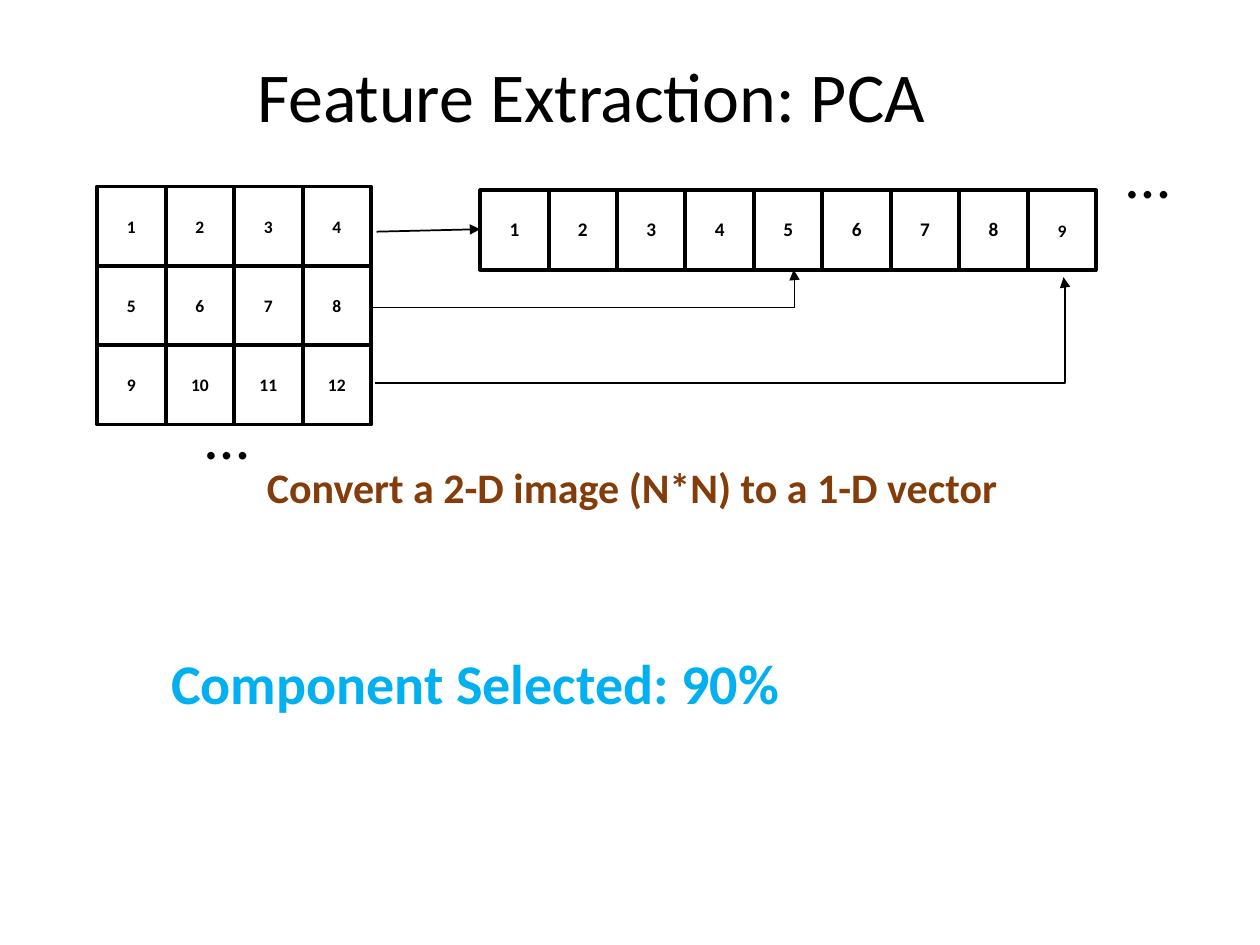
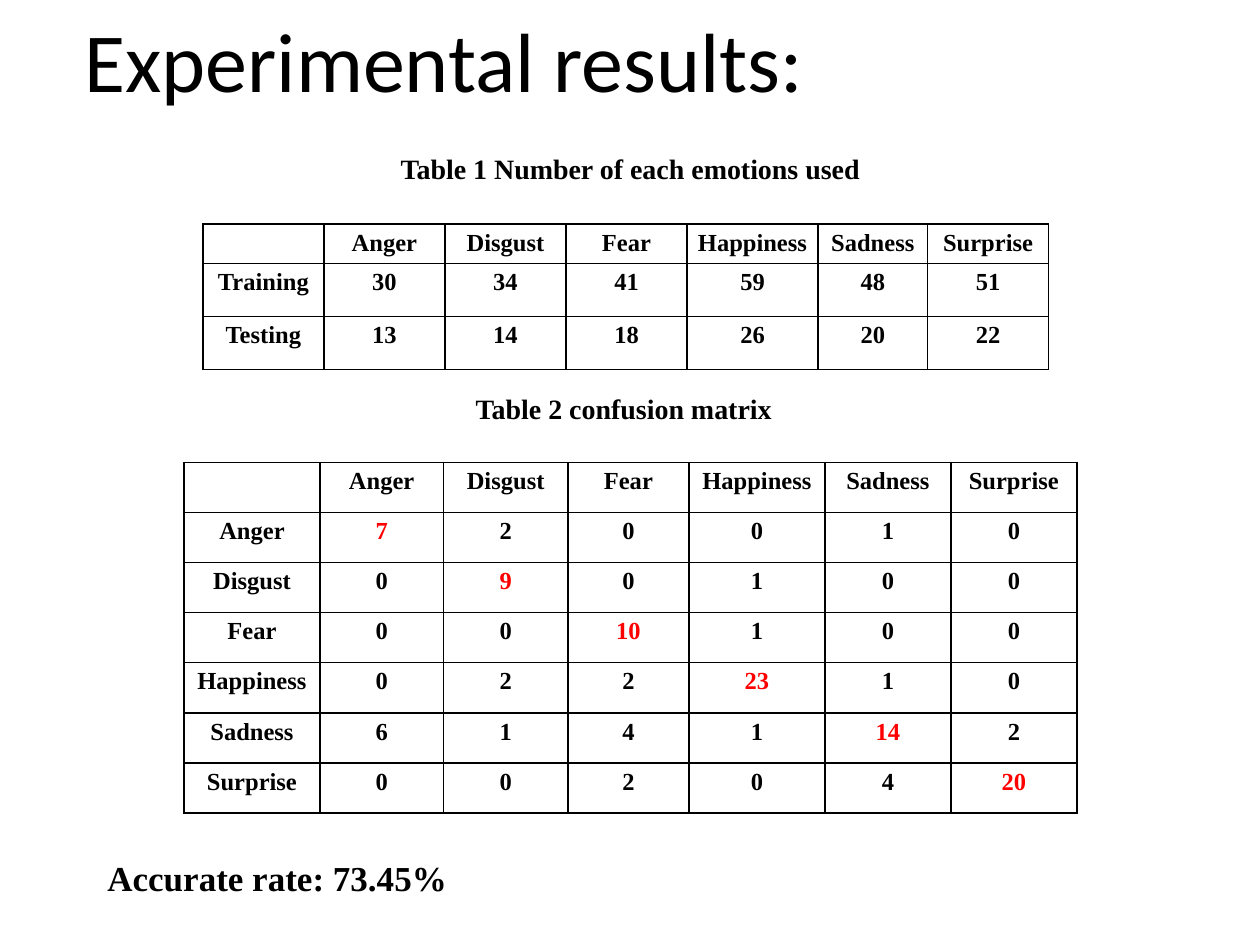
import pptx
import pptx.util
import pptx.dml.color
import pptx.enum.shapes
import pptx.enum.text
import pptx.oxml.ns
import lxml.etree

Cm, Pt = pptx.util.Cm, pptx.util.Pt
qn = pptx.oxml.ns.qn
ALIGN = pptx.enum.text.PP_ALIGN
ANCHOR = pptx.enum.text.MSO_ANCHOR
FIT = pptx.enum.text.MSO_AUTO_SIZE
LINK = pptx.enum.shapes.MSO_CONNECTOR
SANS, SERIF = "Calibri", "Times New Roman"
BLACK, RED, BROWN, BLUE = "000000", "FF0000", "843C0B", "00B0F0"
MOODS = ["Anger", "Disgust", "Fear", "Happiness", "Sadness", "Surprise"]


def tint(code):
    return pptx.dml.color.RGBColor.from_string(code)


def put(thing, vals):
    for name, val in vals.items():
        setattr(thing, name, val)


class Deck:
    """Hold the shared style and the current slide, and draw each kind of element."""

    def __init__(self):
        self.file = pptx.Presentation()
        put(self.file, {"slide_width": Cm(25.4), "slide_height": Cm(19.05)})
        self.slide = None

    def words(self, frame, text, size, face=SANS, color=BLACK, bold=False, align=ALIGN.LEFT, gap=None):
        par = frame.paragraphs[0]
        put(par, {"alignment": align, "line_spacing": gap})
        run = par.add_run()
        run.text = text
        put(run.font, {"size": Pt(size), "name": face, "bold": bold})
        run.font.color.rgb = tint(color)

    def start(self, text, box, size, frame, gap=None):
        self.slide = self.file.slides.add_slide(self.file.slide_layouts[5])
        title = self.slide.shapes.title
        put(title, dict(zip(("left", "top", "width", "height"), map(Cm, box))))
        put(title.text_frame, {"auto_size": FIT.NONE, **frame})
        self.words(title.text_frame, text, size, gap=gap)

    def label(self, text, box, size, anchor=ANCHOR.TOP, wrap=False, **style):
        frame = self.slide.shapes.add_textbox(*map(Cm, box)).text_frame
        fit = FIT.NONE if wrap else FIT.SHAPE_TO_FIT_TEXT
        put(frame, {"word_wrap": wrap, "auto_size": fit, "vertical_anchor": anchor})
        self.words(frame, text, size, **style)

    def dots(self, left, top):
        self.label("…", (left, top, 1.96, 3.45), 36, wrap=True, align=ALIGN.CENTER, gap=1.2)

    def cells(self, left, top, cols, sizes, wide=1.38, high=1.6):
        kind = pptx.enum.shapes.MSO_SHAPE.RECTANGLE
        for i, size in enumerate(sizes):
            row, col = divmod(i, cols)
            box = (left + col * wide, top + row * high, wide, high)
            cell = self.slide.shapes.add_shape(kind, *map(Cm, box))
            cell.shadow.inherit = False
            cell.fill.background()
            cell.line.color.rgb = tint(BLACK)
            cell.line.width = Pt(2.25)
            cell.text_frame.vertical_anchor = ANCHOR.MIDDLE
            self.words(cell.text_frame, str(i + 1), size, bold=True, align=ALIGN.CENTER, gap=Pt(12))

    def arrow(self, kind, *ends):
        link = self.slide.shapes.add_connector(kind, *map(Cm, ends))
        link.line.color.rgb = tint(BLACK)
        link.line.width = Pt(1)
        props = link._element.spPr
        lxml.etree.SubElement(props.find(qn("a:ln")), qn("a:tailEnd"), type="triangle")
        lxml.etree.SubElement(props, qn("a:effectLst"))
        if kind == LINK.ELBOW:
            geom = props.find(qn("a:prstGeom"))
            for old in geom.findall(qn("a:avLst")):
                geom.remove(old)
            adjust = lxml.etree.SubElement(geom, qn("a:avLst"))
            lxml.etree.SubElement(adjust, qn("a:gd"), name="adj1", fmla="val 100200")

    def edge(self, cell):
        props = cell._tc.get_or_add_tcPr()
        for side in "LRTB":
            line = lxml.etree.SubElement(props, qn("a:ln" + side), w=str(Pt(1)))
            fill = lxml.etree.SubElement(line, qn("a:solidFill"))
            lxml.etree.SubElement(fill, qn("a:srgbClr"), val=BLACK)

    def table(self, left, top, wides, highs, rows, mark=False):
        rows = [["", *MOODS], *rows]
        box = (left, top, sum(wides), sum(highs))
        table = self.slide.shapes.add_table(len(rows), len(wides), *map(Cm, box)).table
        put(table, {"first_row": False, "horz_banding": False})
        for col, wide in zip(table.columns, wides):
            col.width = Cm(wide)
        for row, high in zip(table.rows, highs):
            row.height = Cm(high)
        for r, row in enumerate(rows):
            for c, val in enumerate(row):
                cell = table.cell(r, c)
                self.edge(cell)
                cell.fill.background()
                put(cell, {"margin_left": Cm(0.18), "margin_right": Cm(0.18),
                           "margin_top": 0, "margin_bottom": 0})
                if val != "":
                    color = RED if mark and r == c else BLACK
                    self.words(cell.text_frame, str(val), 14, SERIF, color, True, ALIGN.CENTER, 1.2)


def main():
    deck = Deck()
    deck.start("Feature Extraction: PCA", (4.93, 0.94, 14.12, 1.96), 40,
               {"word_wrap": False, "vertical_anchor": ANCHOR.TOP})
    deck.cells(9.68, 3.84, 9, [11] * 8 + [10])
    deck.dots(22.17, 2.31)
    deck.cells(1.96, 3.76, 4, [10] * 12)
    deck.dots(3.61, 7.57)
    deck.arrow(LINK.STRAIGHT, 7.59, 4.67, 9.68, 4.62)
    deck.arrow(LINK.ELBOW, 7.49, 6.2, 16, 5.44)
    deck.arrow(LINK.ELBOW, 7.57, 7.72, 21.44, 5.59)
    deck.label("Convert a 2-D image (N*N) to a 1-D vector", (5.13, 9.17, 15.57, 1.27), 24,
               color=BROWN, bold=True)
    deck.label("Component Selected: 90%", (3.2, 12.95, 12.9, 1.63), 32, color=BLUE, bold=True)

    deck.start("Experimental results:", (1.45, -0.28, 22.86, 3.18), 48,
               {"word_wrap": True, "vertical_anchor": ANCHOR.MIDDLE}, 0.9)
    for text, box, size in (
        ("Table 1 Number of each emotions used", (7.75, 2.92, 9.91, 0.94), 16),
        ("Table 2 confusion matrix", (9.3, 7.77, 6.55, 0.94), 16),
        ("Accurate rate: 73.45%", (1.88, 17.12, 7.42, 1.12), 20),
    ):
        deck.label(text, box, size, ANCHOR.MIDDLE, face=SERIF, bold=True, align=ALIGN.CENTER)
    hits = [
        [7, 2, 0, 0, 1, 0],
        [0, 9, 0, 1, 0, 0],
        [0, 0, 10, 1, 0, 0],
        [0, 2, 2, 23, 1, 0],
        [6, 1, 4, 1, 14, 2],
        [0, 0, 2, 0, 4, 20],
    ]
    deck.table(3.71, 9.32, [2.74, 2.49, 2.51, 2.44, 2.74, 2.54, 2.54], [1.01] * 7,
               [[mood, *row] for mood, row in zip(MOODS, hits)], mark=True)
    deck.table(4.09, 4.52, [2.44] * 4 + [2.64, 2.21, 2.44], [0.79, 1.07, 1.07],
               [["Training", 30, 34, 41, 59, 48, 51], ["Testing", 13, 14, 18, 26, 20, 22]])
    deck.file.save("out.pptx")


if __name__ == "__main__":
    main()
